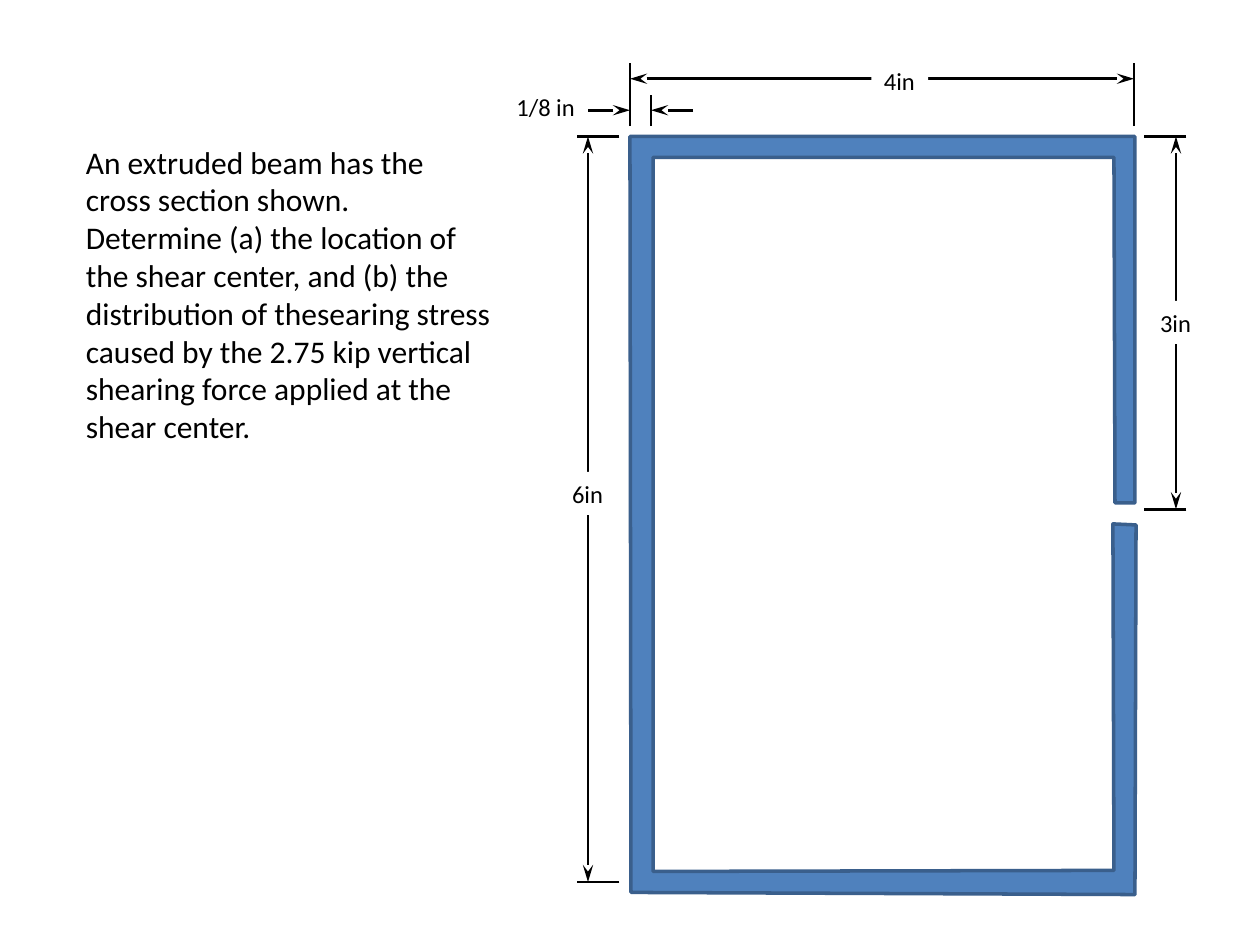
from lxml.etree import SubElement as Sub
from pptx import Presentation
from pptx.dml.color import RGBColor as RGB
from pptx.enum.shapes import MSO_CONNECTOR as CONN, MSO_SHAPE as SHAPE
from pptx.enum.text import MSO_AUTO_SIZE as AUTO, PP_ALIGN as ALIGN
from pptx.oxml.ns import qn
from pptx.util import Inches, Pt

# Grid: 120 columns by 90 rows, twelve to the inch
UNIT = Inches(1) // 12
COLS, ROWS = 120, 90

HUES = {"ink": "000000", "paper": "FFFFFF", "beam": "4F81BD", "edge": "3A5F8C"}

# Section edges, in grid units
LEFT, WALL, RIGHT = 60, 62, 108
TOP, BASE, SLIT = 13, 84, 48.5

BEAM = [
    (108.1, 47.9), (106.2, 47.9), (106.1, 15), (62.2, 15), (62.2, 83),
    (106.1, 82.9), (106, 49.9), (108.2, 50), (108.1, 85.2), (60.1, 85),
    (LEFT, TOP), (108.1, TOP),
]

TASK = (
    "An extruded beam has the cross section shown. Determine (a) the "
    "location of the shear center, and (b) the distribution of thesearing "
    "stress caused by the 2.75 kip vertical shearing force applied at the "
    "shear center."
)


def grid(*vals):
    return [round(v * UNIT) for v in vals]


def hue(name):
    return RGB.from_string(HUES[name])


def paint(shape, name):
    shape.fill.solid()
    shape.fill.fore_color.rgb = hue(name)


def stroke(shape, name, width):
    shape.line.color.rgb = hue(name)
    shape.line.width = Pt(width)


def write(shape, text, size, **frame):
    box = shape.text_frame
    for key, val in frame.items():
        setattr(box, key, val)
    para = box.paragraphs[0]
    para.alignment = ALIGN.LEFT
    para.text = text
    font = {"name": "Calibri", "size": Pt(size)}
    for key, val in font.items():
        setattr(para.runs[0].font, key, val)
    para.runs[0].font.color.rgb = hue("ink")


def draw_beam(slide):
    pts = [grid(*p) for p in BEAM]
    pen = slide.shapes.build_freeform(*pts[0])
    pen.add_line_segments(pts[1:], close=True)
    beam = pen.convert_to_shape()
    beam.shadow.inherit = False
    paint(beam, "beam")
    stroke(beam, "edge", 2)


def draw_line(slide, start, end, tips=()):
    line = slide.shapes.add_connector(CONN.STRAIGHT, *grid(*start, *end))
    stroke(line, "ink", 1.5)
    pen = line.line._get_or_add_ln()
    for tip in tips:
        Sub(pen, qn(f"a:{tip}End"), type="stealth", w="med", len="lg")
    Sub(line._element.spPr, qn("a:effectLst"))


def draw_label(slide, text, mid, wide=5.4, high=4.1):
    x, y = mid
    area = grid(x - wide / 2, y - high / 2, wide, high)
    box = slide.shapes.add_shape(SHAPE.RECTANGLE, *area)
    box.shadow.inherit = False
    paint(box, "paper")
    box.line.fill.background()
    write(box, text, 14, word_wrap=False, auto_size=AUTO.SHAPE_TO_FIT_TEXT)


def draw_task(slide):
    box = slide.shapes.add_textbox(*grid(7, TOP, 41, 30.2))
    write(box, TASK, 18, word_wrap=True, auto_size=AUTO.SHAPE_TO_FIT_TEXT)


def main():
    deck = Presentation()
    deck.slide_width, deck.slide_height = grid(COLS, ROWS)
    slide = deck.slides.add_slide(deck.slide_layouts[6])
    draw_beam(slide)

    # Witness lines above and beside the section
    for x, y in ((LEFT, 6), (RIGHT, 6), (WALL, 9)):
        draw_line(slide, (x, 12), (x, y))
    for x, y in ((59, TOP), (59, BASE), (113, TOP), (113, SLIT)):
        draw_line(slide, (x, y), (x - 4, y))

    # Dimension arrows
    both = ("head", "tail")
    draw_line(slide, (LEFT, 7.5), (RIGHT, 7.5), both)
    draw_line(slide, (WALL + 4, 10.5), (WALL, 10.5), ("tail",))
    draw_line(slide, (LEFT, 10.5), (LEFT - 4, 10.5), ("head",))
    draw_line(slide, (56, TOP), (56, BASE), both)
    draw_line(slide, (112, TOP), (112, SLIT), both)

    # Dimension values
    draw_label(slide, "6in", (56, 47))
    draw_label(slide, "4in", (85.7, 7.7))
    draw_label(slide, "1/8 in", (52, 10.2), wide=8)
    draw_label(slide, "3in", (112, 30.7))

    draw_task(slide)
    deck.save("out.pptx")


if __name__ == "__main__":
    main()
